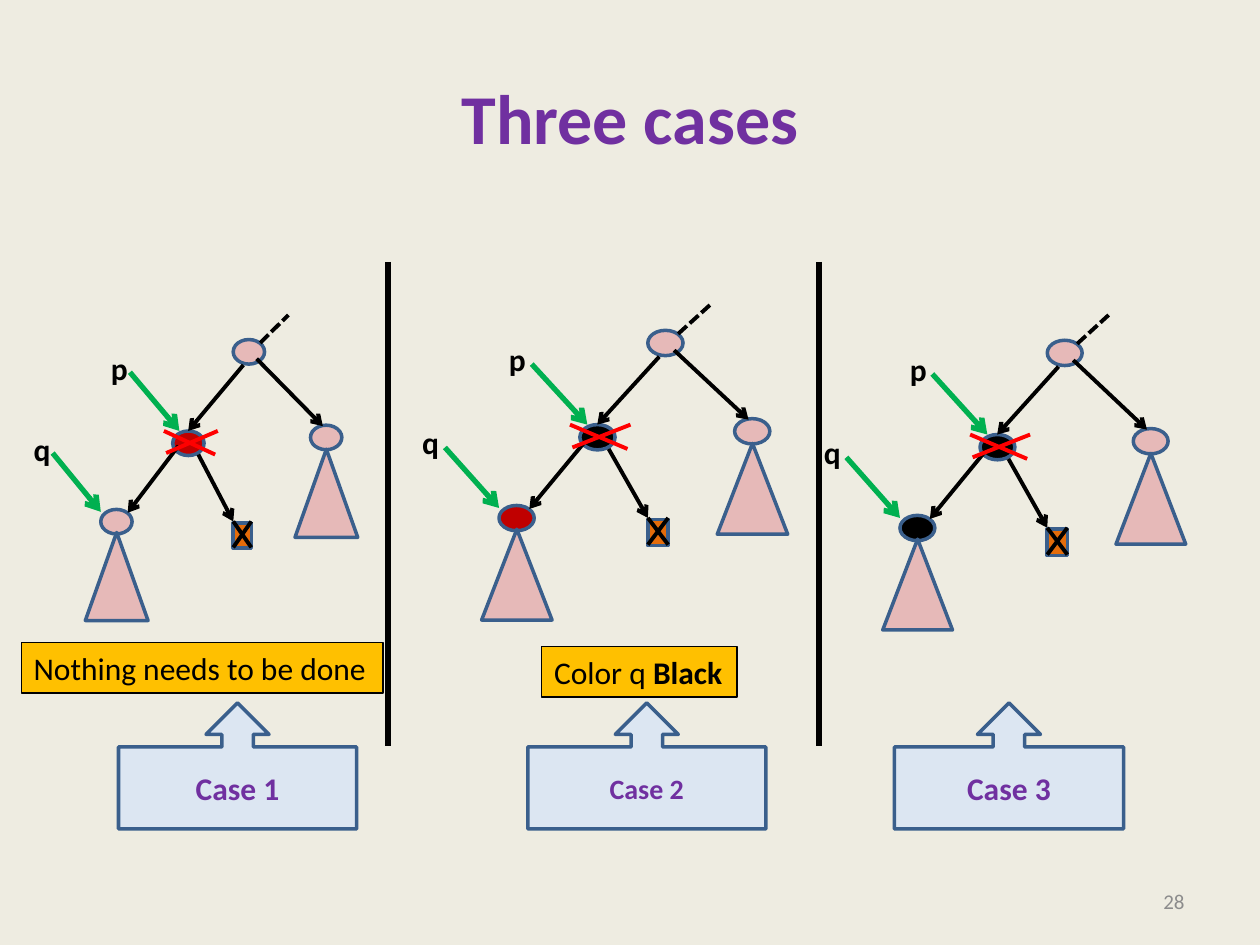
from lxml.etree import SubElement
from pptx import Presentation
from pptx.dml.color import RGBColor
from pptx.enum.dml import MSO_LINE
from pptx.enum.shapes import MSO_CONNECTOR, MSO_SHAPE
from pptx.enum.text import MSO_ANCHOR, MSO_AUTO_SIZE, PP_ALIGN
from pptx.oxml.ns import qn
from pptx.util import Cm, Pt

BACKGROUND = RGBColor(0xEE, 0xEC, 0xE1)
PURPLE = RGBColor(0x70, 0x30, 0xA0)
GRAY = RGBColor(0x8C, 0x8C, 0x8C)
BLACK = RGBColor(0x00, 0x00, 0x00)
PINK = RGBColor(0xE6, 0xB9, 0xB8)
DARK_RED = RGBColor(0xC0, 0x00, 0x00)
RED = RGBColor(0xFF, 0x00, 0x00)
GREEN = RGBColor(0x00, 0xB0, 0x50)
ORANGE = RGBColor(0xE4, 0x6C, 0x0A)
AMBER = RGBColor(0xFF, 0xC0, 0x00)
PALE_BLUE = RGBColor(0xDC, 0xE6, 0xF2)
OUTLINE = RGBColor(0x3A, 0x5F, 0x8C)

NODE_SIZE = (0.71, 0.51)
SUBTREE_SIZE = (1.42, 1.83)
LEAF_SIZE = (0.41, 0.53)
LABEL_SIZE = (0.71, 0.91)

# Tree layout in cm, measured from the top left corner of the tree
SUBTREES = [(1.45, 4.52), (6.2, 2.79)]
LEAF = (4.8, 4.32)
BRANCHES = [
    ((3.56, 2.72), (2.41, 4.11)),
    ((4.01, 2.9), (4.8, 4.29)),
    ((5.03, 1.04), (3.78, 2.41)),
    ((5.33, 0.91), (6.83, 2.31)),
]
ROOT_LINK = ((5.41, 0.58), (6.05, 0))
LEAF_CROSS = [((5.21, 4.29), (4.8, 4.83)), ((4.8, 4.29), (5.21, 4.83))]
DELETE_CROSS = [((3.28, 2.87), (4.45, 2.41)), ((3.23, 2.41), (4.39, 2.9))]
POINTERS = [
    ("p", (1.75, 0.58), ((2.46, 1.19), (3.58, 2.41))),
    ("q", (0, 2.26), ((0.71, 2.87), (1.8, 4.09))),
]


class SlideBuilder:
    font_name = "Calibri"

    def __init__(self, slide):
        self.slide = slide
        self.reset()

    def reset(self):
        """Draw directly on the slide, in slide centimetres."""
        self.shapes = self.slide.shapes
        self.origin = (0, 0)
        self.scale = (1, 1)

    def place(self, point):
        return [Cm(start + factor * value)
                for start, factor, value in zip(self.origin, self.scale, point)]

    def stretch(self, size):
        return [Cm(factor * value) for factor, value in zip(self.scale, size)]

    def add_runs(self, shape, runs, size, color, align=PP_ALIGN.LEFT,
                 anchor=MSO_ANCHOR.TOP, wrap=True):
        frame = shape.text_frame
        frame.word_wrap = wrap
        frame.auto_size = MSO_AUTO_SIZE.NONE if wrap else MSO_AUTO_SIZE.SHAPE_TO_FIT_TEXT
        frame.vertical_anchor = anchor
        paragraph = frame.paragraphs[0]
        paragraph.alignment = align
        for text, bold in runs:
            run = paragraph.add_run()
            run.text = text
            run.font.name = self.font_name
            run.font.size = Pt(size)
            run.font.bold = bold
            run.font.color.rgb = color

    def text(self, point, size, runs, points, color, **layout):
        box = self.shapes.add_textbox(*self.place(point), *self.stretch(size))
        self.add_runs(box, runs, points, color, **layout)

    def shape(self, kind, point, size, fill, line=OUTLINE, width=2):
        shape = self.shapes.add_shape(kind, *self.place(point), *self.stretch(size))
        shape.shadow.inherit = False
        shape.fill.solid()
        shape.fill.fore_color.rgb = fill
        shape.line.color.rgb = line
        shape.line.width = Pt(width)
        return shape

    def line(self, ends, color=BLACK, width=2.25, arrow=False, dashed=False):
        start, end = ends
        connector = self.shapes.add_connector(
            MSO_CONNECTOR.STRAIGHT, *self.place(start), *self.place(end))
        connector.line.color.rgb = color
        connector.line.width = Pt(width)
        if dashed:
            connector.line.dash_style = MSO_LINE.SQUARE_DOT
        properties = connector._element.spPr
        if arrow:
            SubElement(properties.get_or_add_ln(), qn("a:tailEnd"), type="arrow")
        SubElement(properties, qn("a:effectLst"))

    def tree(self, origin, scale, p_color, q_color):
        self.shapes = self.slide.shapes.add_group_shape().shapes
        self.origin, self.scale = origin, scale
        # Nodes: p, q, parent and sibling
        nodes = [((3.43, 2.41), p_color), ((1.8, 4.04), q_color),
                 ((4.8, 0.51), PINK), ((6.55, 2.29), PINK)]
        for point, color in nodes:
            self.shape(MSO_SHAPE.OVAL, point, NODE_SIZE, color)
        for point in SUBTREES:
            self.shape(MSO_SHAPE.ISOSCELES_TRIANGLE, point, SUBTREE_SIZE, PINK)
        # Links
        for branch in BRANCHES:
            self.line(branch, arrow=True)
        self.line(ROOT_LINK, dashed=True)
        # Empty leaf
        self.shape(MSO_SHAPE.RECTANGLE, LEAF, LEAF_SIZE, ORANGE)
        for stroke in LEAF_CROSS:
            self.line(stroke)
        # Pointers p and q, and the deletion mark
        for name, point, arrow in POINTERS:
            self.line(arrow, GREEN, 3, arrow=True)
            self.text(point, LABEL_SIZE, [(name, True)], 18, BLACK, wrap=False)
        for stroke in DELETE_CROSS:
            self.line(stroke, RED)
        self.reset()

    def callout(self, left, width, text, points):
        shape = self.shape(MSO_SHAPE.UP_ARROW_CALLOUT, (left, 14.17), (width, 2.54), PALE_BLUE)
        self.add_runs(shape, [(text, True)], points, PURPLE,
                      PP_ALIGN.CENTER, MSO_ANCHOR.MIDDLE)

    def note(self, point, width, runs):
        shape = self.shape(MSO_SHAPE.RECTANGLE, point, (width, 1.02), AMBER, BLACK, 0.75)
        self.add_runs(shape, runs, 18, BLACK, wrap=False)


def main():
    presentation = Presentation()
    presentation.slide_width, presentation.slide_height = Cm(25.4), Cm(19.05)
    slide = presentation.slides.add_slide(presentation.slide_layouts[6])
    slide.background.fill.solid()
    slide.background.fill.fore_color.rgb = BACKGROUND
    builder = SlideBuilder(slide)

    # Title and slide number
    builder.text((1.27, 0.76), (22.86, 3.18), [("Three cases", True)], 40, PURPLE,
                 align=PP_ALIGN.CENTER, anchor=MSO_ANCHOR.MIDDLE)
    builder.text((18.2, 17.66), (5.93, 1.01), [("28", False)], 12, GRAY,
                 align=PP_ALIGN.RIGHT, anchor=MSO_ANCHOR.MIDDLE)

    # Trees for the three cases
    builder.tree((0.43, 6.35), (0.89, 0.97), DARK_RED, PINK)
    builder.tree((8.26, 6.15), (1, 1), BLACK, DARK_RED)
    builder.tree((16.36, 6.35), (0.99, 1), BLACK, BLACK)

    # Dividers
    for x in (7.82, 16.51):
        builder.line(((x, 5.28), (x, 15.04)), width=3)

    # Case names and remedies
    builder.callout(2.39, 4.8, "Case 1", 18)
    builder.callout(10.64, 4.8, "Case 2", 16)
    builder.callout(18.03, 4.62, "Case 3", 18)
    builder.note((0.43, 12.95), 7.29, [("Nothing needs to be done", False)])
    builder.note((10.92, 13.03), 3.94, [("Color q ", False), ("Black", True)])

    presentation.save("out.pptx")


if __name__ == "__main__":
    main()
